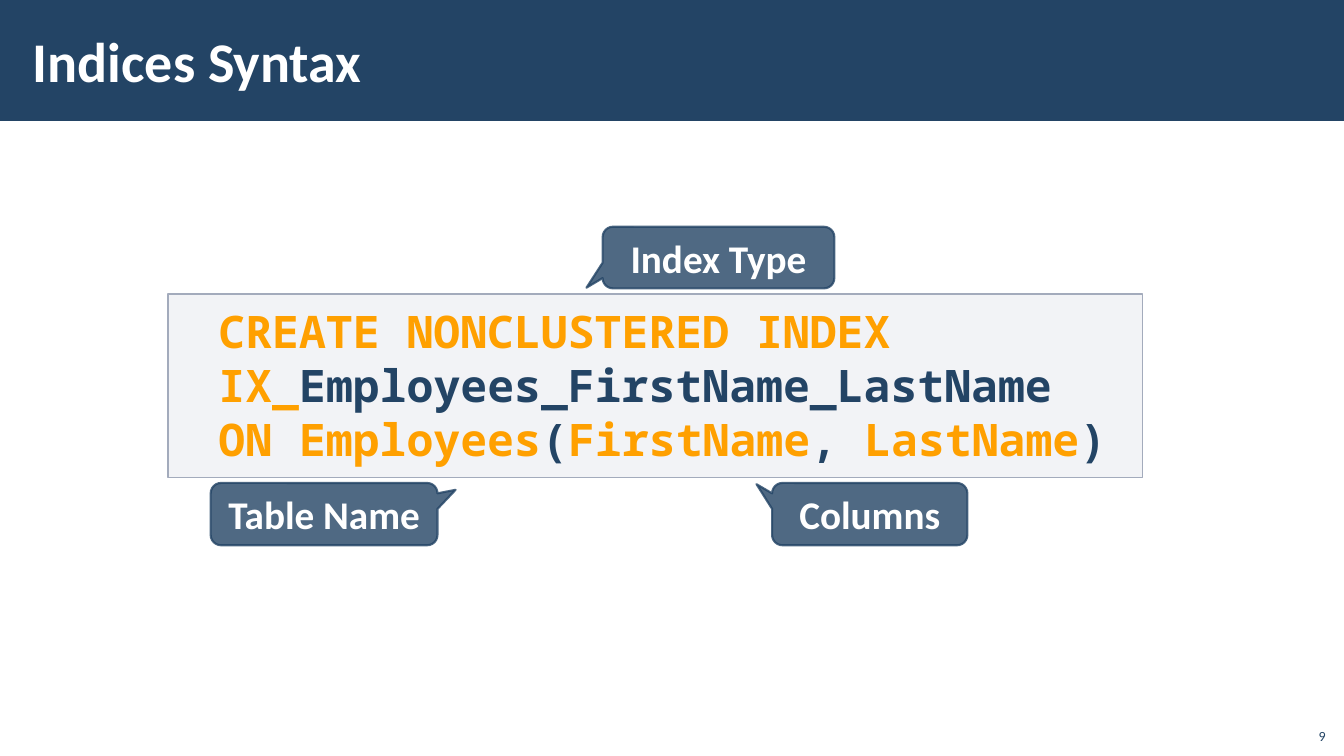
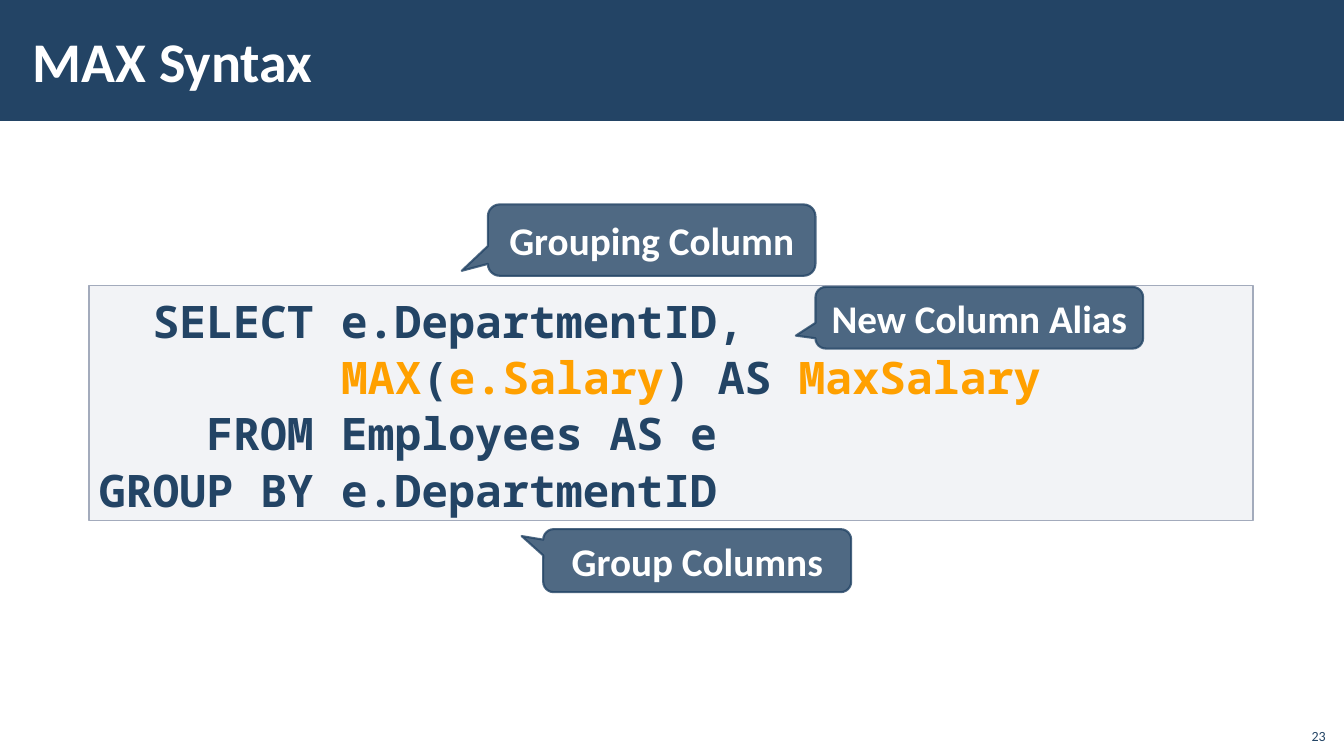
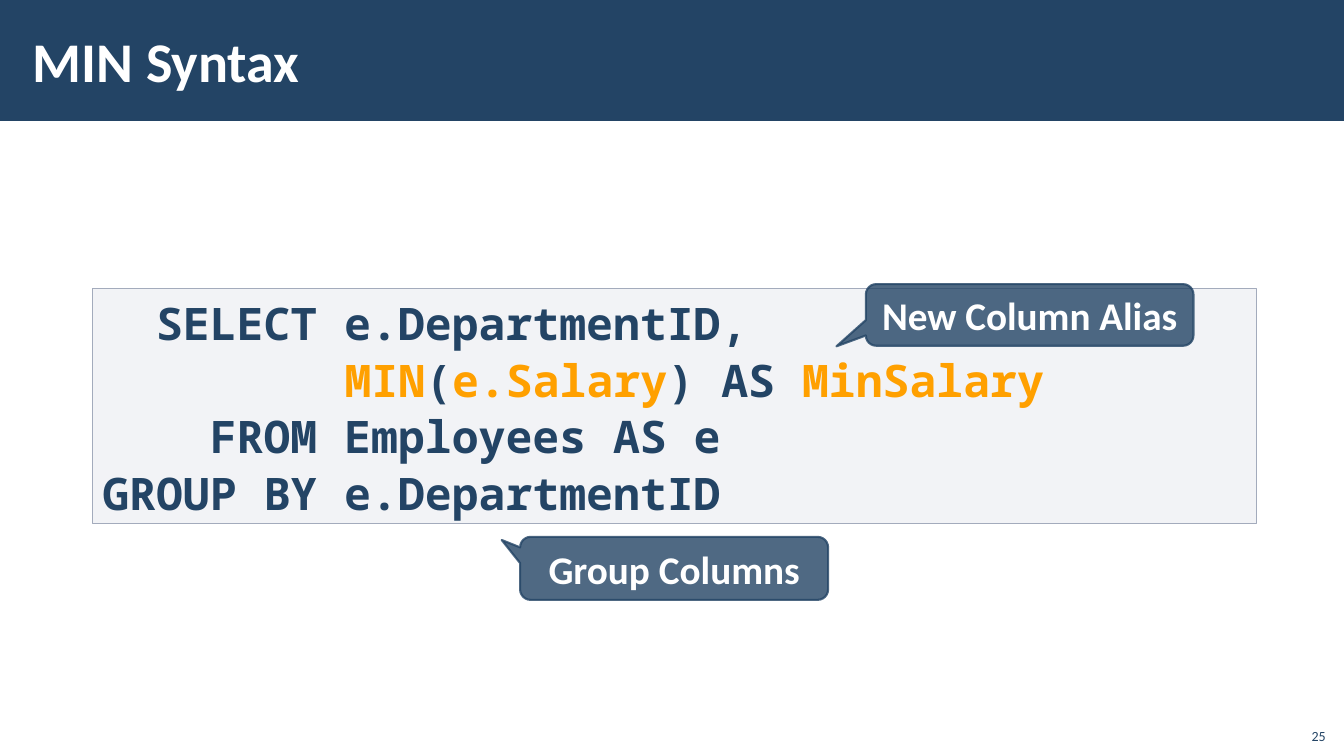
from dataclasses import dataclass

from pptx import Presentation
from pptx.dml.color import RGBColor
from pptx.enum.shapes import MSO_SHAPE
from pptx.enum.text import MSO_ANCHOR, PP_ALIGN
from pptx.oxml.ns import qn
from pptx.util import Pt
from lxml.etree import SubElement


@dataclass(frozen=True)
class Theme:
    navy: RGBColor = RGBColor.from_string("234465")
    white: RGBColor = RGBColor.from_string("FFFFFF")
    accent: RGBColor = RGBColor.from_string("FFA000")
    code_fill: RGBColor = RGBColor.from_string("C2C7D2")
    code_line: RGBColor = RGBColor.from_string("A3ABBC")
    body_font: str = "Calibri"
    code_font: str = "Noto Sans Mono"
    title_size: int = 40
    code_size: int = 32
    callout_size: int = 28
    number_size: int = 10


theme = Theme()


def paint(shape, fill, line, line_width, opacities):
    """Fill and outline a shape; opacities are percentages for fill, then line."""
    shape.shadow.inherit = False
    shape.fill.solid()
    shape.fill.fore_color.rgb = fill
    shape.line.color.rgb = line
    shape.line.width = Pt(line_width)
    colors = list(shape._element.spPr.iter(qn("a:srgbClr")))
    for color, opacity in zip(colors, opacities):
        if opacity < 100:
            SubElement(color, qn("a:alpha"), val=str(opacity * 1000))


def write(shape, text, size, color, bold, anchor, align):
    """Set one line of body text in a shape."""
    frame = shape.text_frame
    frame.word_wrap = True
    frame.vertical_anchor = anchor
    frame.text = text
    paragraph = frame.paragraphs[0]
    paragraph.alignment = align
    font = paragraph.runs[0].font
    font.name, font.size, font.bold = theme.body_font, Pt(size), bold
    font.color.rgb = color


# In code lines, text between two bars is highlighted.
index_code = [
    "|CREATE NONCLUSTERED INDEX IX_|Employees_FirstName_LastName",
    "|ON Employees|(|FirstName|, |LastName|)",
]
max_code, min_code = [
    [
        "  SELECT e.DepartmentID,",
        f"         |{function.upper()}|(|e.Salary|) AS |{function}Salary|",
        "    FROM Employees AS e",
        "GROUP BY e.DepartmentID",
    ]
    for function in ("Max", "Min")
]

# Code margins are left, top, right, bottom.
index_style = {"spacing": 1.0, "margins": (36, 7.2, 0, 7.2)}
query_style = {"spacing": 1.05, "margins": (7.2, 3.6, 7.2, 3.6)}

# Title, number, code lines, code style, code box, then callouts as
# (label, box, pointer tip relative to the centre of the box).
lessons = [
    ("Indices Syntax", 9, index_code, index_style, (120, 210, 696, 131), [
        ("Table Name", (150.5, 345, 162, 44.5), (0.58, -0.39)),
        ("Columns", (551.5, 345, 139.5, 44.5), (-0.58, -0.48)),
        ("Index Type", (430.5, 162, 165.5, 44), (-0.57, 0.49)),
    ]),
    ("MAX Syntax", 23, max_code, query_style, (63.5, 204, 831.5, 168), [
        ("Grouping Column", (348.5, 146, 234, 51), (-0.58, 0.43)),
        ("New Column Alias", (582.5, 205, 234, 44), (-0.56, 0.29)),
        ("Group Columns", (388, 378, 220, 45), (-0.57, -0.39)),
    ]),
    ("MIN Syntax", 25, min_code, query_style, (66, 206, 831.5, 168), [
        ("Group Columns", (371.5, 383.5, 220, 45), (-0.56, -0.45)),
        ("New Column Alias", (618.5, 203, 234, 44), (-0.59, 0.51)),
    ]),
]

prs = Presentation()
prs.slide_width, prs.slide_height = Pt(960), Pt(540)

for title, number, code, style, code_box, callouts in lessons:
    slide = prs.slides.add_slide(prs.slide_layouts[6])
    shapes = slide.shapes

    band = shapes.add_shape(MSO_SHAPE.RECTANGLE, 0, 0, prs.slide_width, Pt(86.4))
    paint(band, theme.navy, theme.navy, 0, (100, 100))
    band.line.fill.background()

    heading = shapes.add_textbox(Pt(15), Pt(8), Pt(765), Pt(70))
    write(heading, title, theme.title_size, theme.white, True,
          MSO_ANCHOR.MIDDLE, PP_ALIGN.LEFT)
    heading.text_frame.margin_left = heading.text_frame.margin_right = Pt(8.6)
    heading.text_frame.margin_top = heading.text_frame.margin_bottom = Pt(2.9)

    listing = shapes.add_shape(MSO_SHAPE.RECTANGLE, *map(Pt, code_box))
    paint(listing, theme.code_fill, theme.code_line, 1, (20, 100))
    frame = listing.text_frame
    frame.word_wrap = True
    frame.vertical_anchor = MSO_ANCHOR.TOP
    (frame.margin_left, frame.margin_top,
     frame.margin_right, frame.margin_bottom) = map(Pt, style["margins"])
    for line_index, code_line in enumerate(code):
        paragraph = frame.add_paragraph() if line_index else frame.paragraphs[0]
        paragraph.alignment = PP_ALIGN.LEFT
        paragraph.line_spacing = style["spacing"]
        for part_index, part in enumerate(code_line.split("|")):
            if part:
                run = paragraph.add_run()
                run.text = part
                run.font.name = theme.code_font
                run.font.size = Pt(theme.code_size)
                run.font.bold = True
                run.font.color.rgb = theme.accent if part_index % 2 else theme.navy

    for label, box, tip in callouts:
        callout = shapes.add_shape(MSO_SHAPE.ROUNDED_RECTANGULAR_CALLOUT, *map(Pt, box))
        callout.adjustments[0], callout.adjustments[1] = tip
        paint(callout, theme.navy, theme.navy, 1.5, (80, 80))
        write(callout, label, theme.callout_size, theme.white, True,
              MSO_ANCHOR.MIDDLE, PP_ALIGN.CENTER)

    page_number = shapes.add_textbox(Pt(925), Pt(512.5), Pt(29), Pt(23))
    write(page_number, str(number), theme.number_size, theme.navy, False,
          MSO_ANCHOR.BOTTOM, PP_ALIGN.RIGHT)

prs.save("out.pptx")
